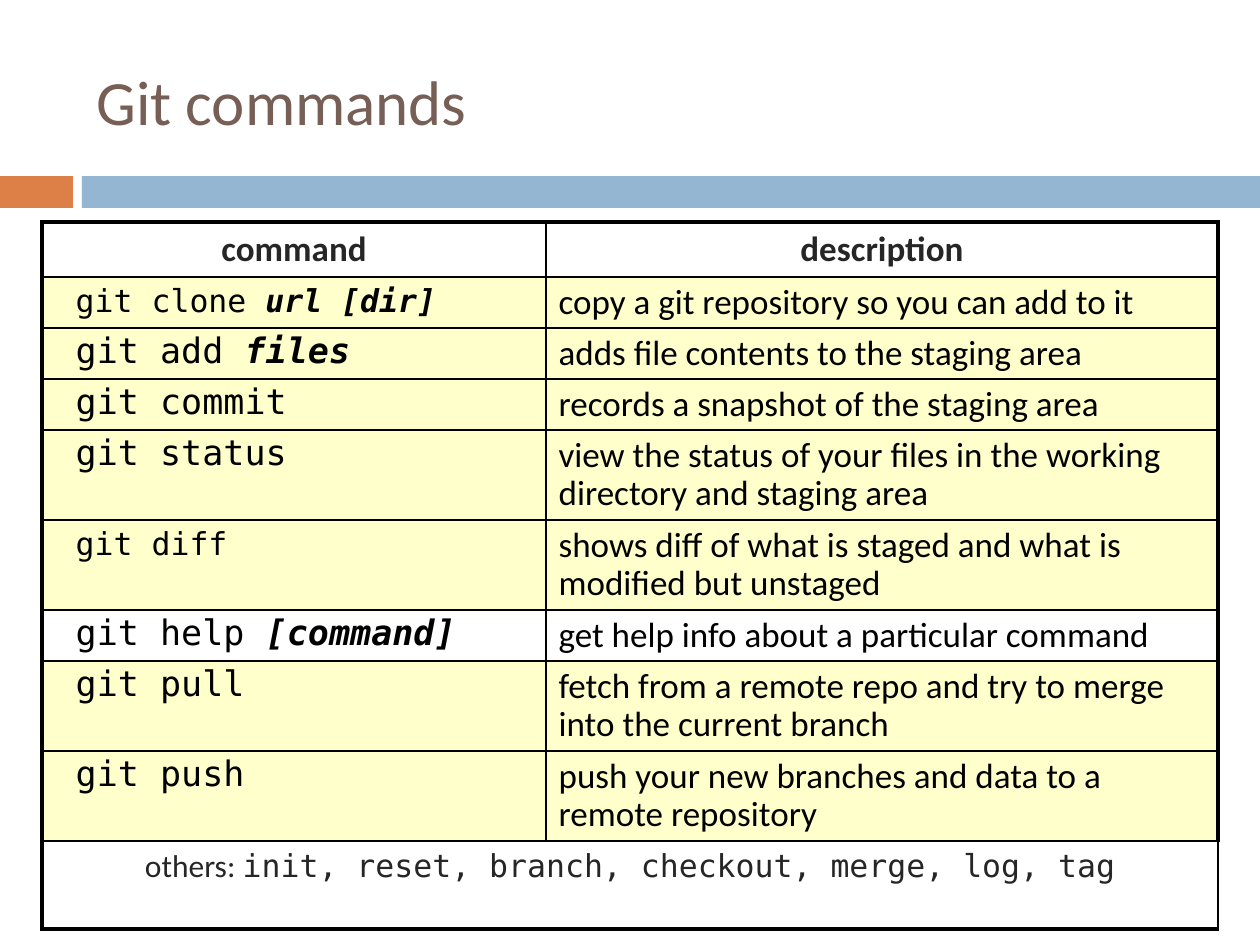
from dataclasses import dataclass

from lxml.etree import SubElement
from pptx import Presentation
from pptx.dml.color import RGBColor
from pptx.enum.shapes import MSO_SHAPE as Shape
from pptx.enum.text import MSO_ANCHOR as Anchor, PP_ALIGN as Align
from pptx.oxml.ns import qn
from pptx.util import Emu, Pt

COLORS = {
    "title": "775F55", "orange": "DD8047", "blue": "94B6D2",
    "heading": "262626", "ink": "000000", "yellow": "FFFFCC",
}
SANS, MONO = "Calibri", "DejaVu Sans Mono"
THIN, THICK = 1, 2.25


@dataclass(frozen=True)
class Span:
    text: str
    size: int = 20
    font: str = SANS
    color: str = "ink"
    bold: bool = False
    italic: bool = False


@dataclass(frozen=True)
class Command:
    name: str
    description: str
    height: int
    argument: str = ""
    size: int = 20
    fill: str = "yellow"


@dataclass(frozen=True)
class Bar:
    left: int
    width: int
    color: str


BARS = [Bar(0, 73, "orange"), Bar(82, 1178, "blue")]
COLUMN_WIDTHS = [504, 672]
HEADING_HEIGHT, OTHERS_HEIGHT = 55, 88
COMMANDS = [
    Command("git clone ", "copy a git repository so you can add to it", 51, "url [dir]", 18),
    Command("git add ", "adds file contents to the staging area", 51, "files"),
    Command("git commit", "records a snapshot of the staging area", 51),
    Command("git status", "view the status of your files in the working directory and staging area", 90),
    Command("git diff", "shows diff of what is staged and what is modified but unstaged", 90, size=18),
    Command("git help ", "get help info about a particular command", 51, "[command]", fill=""),
    Command("git pull", "fetch from a remote repo and try to merge into the current branch", 90),
    Command("git push", "push your new branches and data to a remote repository", 90),
]


def px(length: int) -> Emu:
    """Turn pixels into EMU."""
    return Emu(round(length * 914400 / 126))


def rgb(name: str) -> RGBColor:
    """Look up a named colour."""
    return RGBColor.from_string(COLORS[name])


def write(frame, spans: list[Span], align=Align.LEFT, spacing: float = 1.0) -> None:
    """Fill the first paragraph of a frame with formatted spans."""
    para = frame.paragraphs[0]
    para.alignment, para.line_spacing = align, spacing
    for span in spans:
        run = para.add_run()
        run.text = span.text
        run.font.size, run.font.name = Pt(span.size), span.font
        run.font.bold, run.font.italic = span.bold, span.italic
        run.font.color.rgb = rgb(span.color)


def draw_bar(page, bar: Bar) -> None:
    """Draw one part of the band under the title."""
    box = page.shapes.add_shape(Shape.RECTANGLE, px(bar.left), px(176), px(bar.width), px(32))
    box.shadow.inherit = False
    box.fill.solid()
    box.fill.fore_color.rgb = rgb(bar.color)
    box.line.fill.background()


def draw_title(page) -> None:
    """Write the slide title."""
    box = page.shapes.add_textbox(px(84), px(32), px(1124), px(136))
    box.text_frame.word_wrap = True
    box.text_frame.vertical_anchor = Anchor.MIDDLE
    write(box.text_frame, [Span("Git commands", 36, color="title")])


def style_cell(cell, edges: dict[str, bool], fill: str) -> None:
    """Set borders, thick on the outer edges, and then the fill."""
    properties = cell._tc.get_or_add_tcPr()
    for side, outer in edges.items():
        width = Pt(THICK if outer else THIN)
        line = SubElement(properties, qn(f"a:ln{side}"), w=str(width))
        solid = SubElement(line, qn("a:solidFill"))
        SubElement(solid, qn("a:srgbClr"), val=COLORS["ink"])
    if fill:
        cell.fill.solid()
        cell.fill.fore_color.rgb = rgb(fill)
    else:
        cell.fill.background()


def draw_table(page) -> None:
    """Draw the table of commands."""
    heights = [HEADING_HEIGHT, *(command.height for command in COMMANDS), OTHERS_HEIGHT]
    fills = ["", *(command.fill for command in COMMANDS), ""]
    last_row, last_column = len(heights) - 1, len(COLUMN_WIDTHS) - 1
    frame = page.shapes.add_table(len(heights), len(COLUMN_WIDTHS), px(42), px(222),
                                  px(sum(COLUMN_WIDTHS)), px(sum(heights)))
    table = frame.table
    table.first_row = table.horz_banding = False
    for column, width in zip(table.columns, COLUMN_WIDTHS):
        column.width = px(width)
    for i, (row, height) in enumerate(zip(table.rows, heights)):
        row.height = px(height)
        for j, cell in enumerate(row.cells):
            edges = {"L": j == 0, "R": j == last_column, "T": i == 0, "B": i == last_row}
            style_cell(cell, edges, fills[i])

    for j, heading in enumerate(["command", "description"]):
        write(table.cell(0, j).text_frame, [Span(heading, color="heading", bold=True)], Align.CENTER)
    for i, command in enumerate(COMMANDS, start=1):
        spans = [Span(" ", font=MONO), Span(command.name, command.size, MONO)]
        if command.argument:
            spans.append(Span(command.argument, command.size, MONO, bold=True, italic=True))
        write(table.cell(i, 0).text_frame, spans, spacing=0.9)
        write(table.cell(i, 1).text_frame, [Span(command.description)], spacing=0.9)

    others = table.cell(last_row, 0)
    others.merge(table.cell(last_row, last_column))
    write(others.text_frame, [
        Span("others: ", 18, color="heading"),
        Span("init, reset, branch, checkout, merge, log, tag", 18, MONO, "heading"),
    ], Align.CENTER)


def main() -> None:
    """Build the deck and save it."""
    deck = Presentation()
    deck.slide_width, deck.slide_height = px(1260), px(945)
    page = deck.slides.add_slide(deck.slide_layouts[6])
    for bar in BARS:
        draw_bar(page, bar)
    draw_title(page)
    draw_table(page)
    deck.save("out.pptx")


if __name__ == "__main__":
    main()
